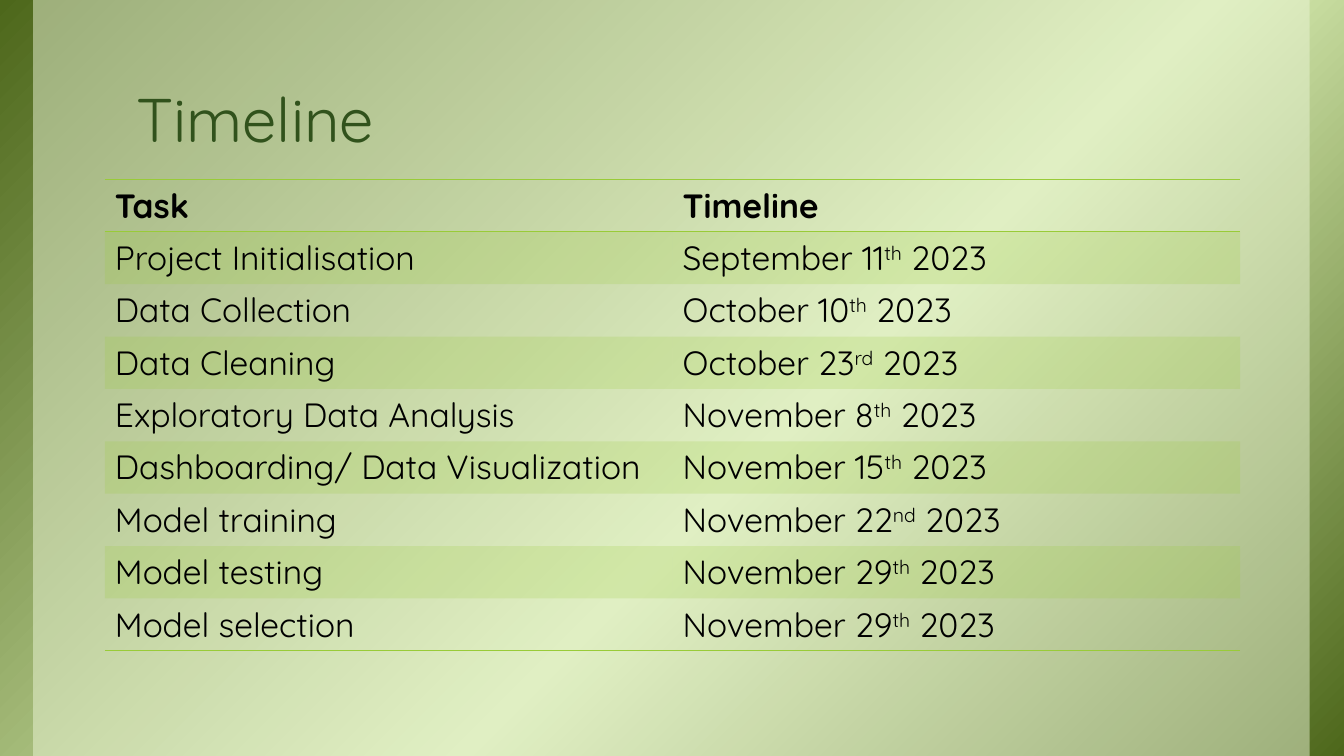
from copy import deepcopy

from pptx import Presentation
from pptx.dml.color import RGBColor
from pptx.enum import shapes, text
from pptx.oxml import parse_xml
from pptx.oxml.ns import nsdecls
from pptx.util import Inches, Pt

OLIVE = RGBColor(0x4D, 0x67, 0x1B)
PALE_GREEN = RGBColor(0xD6, 0xEA, 0xAF)
MIST = RGBColor(0xEB, 0xF5, 0xD7)
LIME = RGBColor(0x99, 0xCB, 0x38)
DARK_GREEN = RGBColor(0x31, 0x52, 0x1C)
BLACK = RGBColor(0, 0, 0)
FONT = "Quicksand"

# Each date: day, ordinal ending (raised), year
SCHEDULE = [
    ("Project Initialisation", ("September 11", "th", " 2023")),
    ("Data Collection", ("October 10", "th", " 2023")),
    ("Data Cleaning", ("October 23", "rd", " 2023")),
    ("Exploratory Data Analysis", ("November 8", "th", " 2023")),
    ("Dashboarding/ Data Visualization", ("November 15", "th", " 2023")),
    ("Model training", ("November 22", "nd", " 2023")),
    ("Model testing", ("November 29", "th", " 2023")),
    ("Model selection", ("November 29", "th", " 2023")),
]


def set_opacity(fill_parent, percent):
    color = fill_parent.find(".//{*}solidFill/{*}srgbClr")
    color.append(parse_xml(f'<a:alpha {nsdecls("a")} val="{percent * 1000}"/>'))


def write_run(paragraph, words, size, color, bold=False):
    run = paragraph.add_run()
    run.text = words
    for key, value in {"name": FONT, "size": Pt(size), "bold": bold}.items():
        setattr(run.font, key, value)
    run.font.color.rgb = color
    return run


deck = Presentation()
deck.slide_width, deck.slide_height = Inches(13.33), Inches(7.5)
slide = deck.slides.add_slide(deck.slide_layouts[5])
title = slide.shapes.title

# Background: diagonal gradient under a translucent panel
backdrop, panel = [
    slide.shapes.add_shape(shapes.MSO_SHAPE.RECTANGLE, Inches(left), 0, Inches(width), Inches(7.5))
    for left, width in ((0, 13.33), (0.33, 12.66))
]
for layer in (backdrop, panel):
    layer.shadow.inherit = False
    layer.line.fill.background()

backdrop.fill.gradient()
backdrop.fill.gradient_angle = 315
stop_list = backdrop._element.spPr.find(".//{*}gsLst")
stop_list.append(deepcopy(stop_list[0]))
stops = zip(backdrop.fill.gradient_stops, ((0, OLIVE), (0.58, PALE_GREEN), (1, OLIVE)))
for stop, (position, color) in stops:
    stop.position = position
    stop.color.rgb = color

panel.fill.solid()
panel.fill.fore_color.rgb = MIST
set_opacity(panel._element.spPr, 50)

# Title, brought in front of the background
slide.shapes._spTree.append(title._element)
title_place = {"left": 1.22, "top": 0.08, "width": 11.11, "height": 1.53}
for key, value in title_place.items():
    setattr(title, key, Inches(value))
title_frame = title.text_frame
title_format = {
    "vertical_anchor": text.MSO_ANCHOR.BOTTOM,
    "auto_size": text.MSO_AUTO_SIZE.NONE,
    "word_wrap": True,
    "margin_left": Inches(0.13),
    "margin_right": Inches(0.13),
    "margin_top": Inches(0.07),
    "margin_bottom": Inches(0.07),
}
for key, value in title_format.items():
    setattr(title_frame, key, value)
heading = title_frame.paragraphs[0]
heading.alignment = text.PP_ALIGN.LEFT
heading.line_spacing = 0.85
write_run(heading, "Timeline", 44, DARK_GREEN)

# Timeline table
rows = [("Task", ("Timeline",))] + SCHEDULE
timeline_frame = slide.shapes.add_table(
    len(rows), 2, Inches(1.04), Inches(1.78), Inches(11.26), Inches(0.52 * len(rows)))
timeline = timeline_frame.table
timeline.first_row = timeline.horz_banding = False
timeline._tbl.tblPr.find("{*}tableStyleId").text = "{2D5ABB26-0587-4C30-8999-92F81FD0307C}"

for r, (task, date) in enumerate(rows):
    for c, parts in enumerate(((task,), date)):
        cell = timeline.cell(r, c)
        paragraph = cell.text_frame.paragraphs[0]
        for i, words in enumerate(parts):
            run = write_run(paragraph, words, 24, BLACK, bold=r == 0)
            if i == 1:
                run._r.get_or_add_rPr().set("baseline", "30000")

        # Odd rows are tinted
        cell_props = cell._tc.get_or_add_tcPr()
        if r % 2:
            cell.fill.solid()
            cell.fill.fore_color.rgb = LIME
            set_opacity(cell_props, 20)
        else:
            cell.fill.background()

        # Rules around the header and below the last row
        edges = {0: ("lnT", "lnB"), len(rows) - 1: ("lnB",)}.get(r, ())
        for i, edge in enumerate(edges):
            cell_props.insert(i, parse_xml(
                f'<a:{edge} {nsdecls("a")} w="{Pt(1)}"><a:solidFill>'
                f'<a:srgbClr val="{LIME}"/></a:solidFill></a:{edge}>'))

deck.save("out.pptx")
